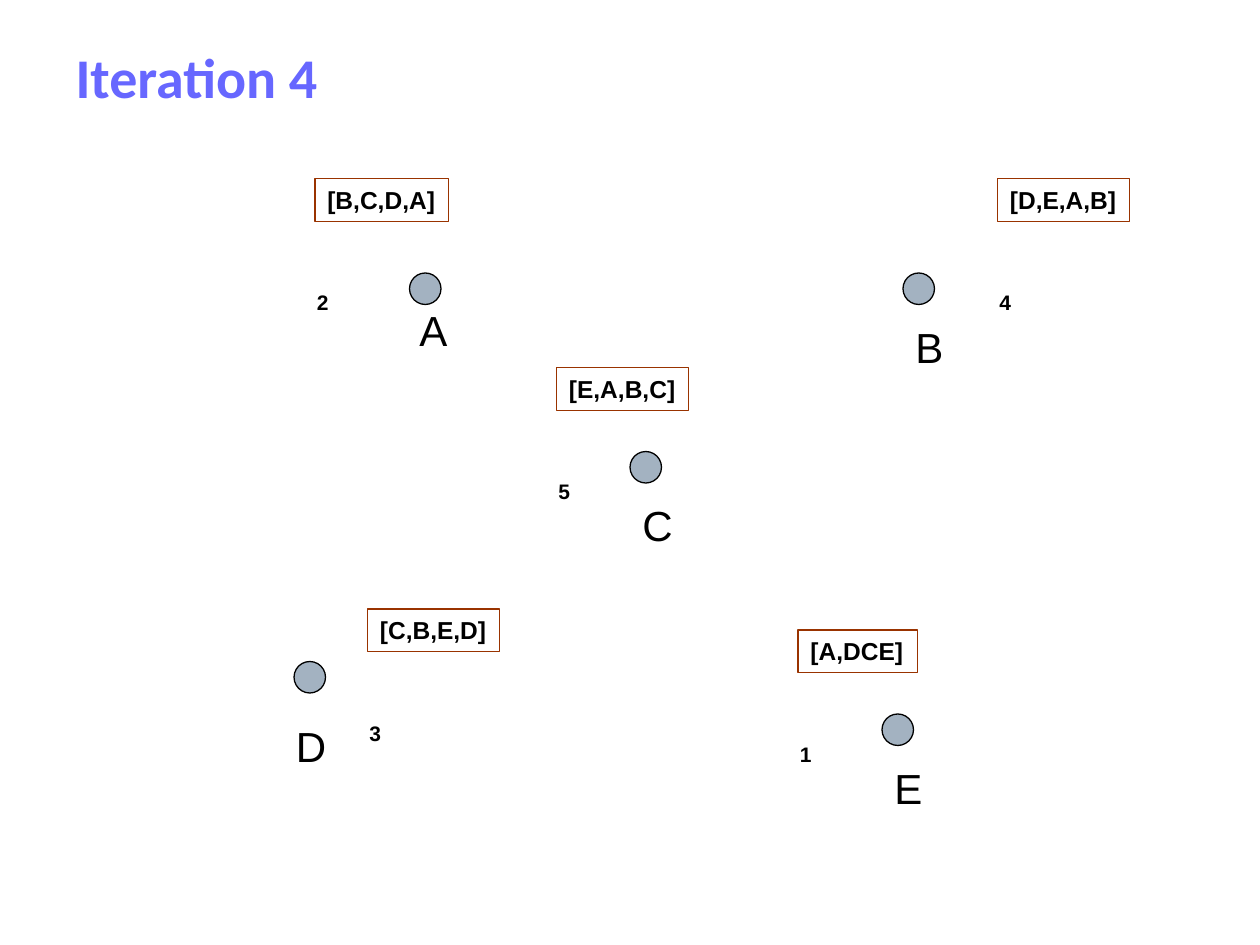
"""Build the "Iteration 4" slide: five nodes with their label, sequence and rank."""
import pptx
import pptx.util
import pptx.dml.color
import pptx.enum.shapes
import pptx.enum.text

Pt = pptx.util.Pt
RGB = pptx.dml.color.RGBColor.from_string
SHAPE = pptx.enum.shapes.MSO_SHAPE
COLORS = {"title": "6767FF", "node": "A3B2C1", "box": "993300", "text": "000000"}


def style_text(sp, text, size, bold):
    tf = sp.text_frame
    tf.text = text
    tf.word_wrap = False
    tf.auto_size = pptx.enum.text.MSO_AUTO_SIZE.SHAPE_TO_FIT_TEXT
    tf.vertical_anchor = pptx.enum.text.MSO_ANCHOR.TOP
    p = tf.paragraphs[0]
    p.alignment = pptx.enum.text.PP_ALIGN.LEFT
    font = p.runs[0].font
    font.name, font.size, font.bold = "Arial", Pt(size), bold
    font.color.rgb = RGB(COLORS["text"])


def add_outlined(s, kind, x, y, w, h, line):
    sp = s.shapes.add_shape(kind, Pt(x), Pt(y), Pt(w), Pt(h))
    sp.shadow.inherit = False
    sp.fill.background()
    sp.line.color.rgb = RGB(line)
    sp.line.width = Pt(0.75)
    return sp


prs = pptx.Presentation()
prs.slide_width, prs.slide_height = Pt(720), Pt(540)
s = prs.slides.add_slide(prs.slide_layouts[5])

title = s.shapes.title
title.left, title.top, title.width, title.height = Pt(36), Pt(21.6), Pt(648), Pt(44.6)
tf = title.text_frame
tf.text = "Iteration 4"
tf.vertical_anchor = pptx.enum.text.MSO_ANCHOR.BOTTOM
p = tf.paragraphs[0]
p.alignment = pptx.enum.text.PP_ALIGN.LEFT
font = p.runs[0].font
font.name, font.size, font.bold = "Calibri", Pt(32), True
font.color.rgb = RGB(COLORS["title"])

nodes = [
    ("A", (234, 156), (232.5, 170.5), "[B,C,D,A]", (180, 102), 76.3, "2"),
    ("B", (516, 156), (516, 180), "[D,E,A,B]", (570, 102), 75.6, "4"),
    ("C", (360, 258), (360, 282), "[E,A,B,C]", (318, 210), 75.6, "5"),
    ("D", (168, 378), (162, 408), "[C,B,E,D]", (210, 348), 75.6, "3"),
    ("E", (504, 408), (504, 432), "[A,DCE]", (456, 360), 68.4, "1"),
]
for name, node_at, label_at, sequence, box_at, box_width, rank in nodes:
    node = add_outlined(s, SHAPE.OVAL, *node_at, 18, 18, COLORS["text"])
    node.fill.solid()
    node.fill.fore_color.rgb = RGB(COLORS["node"])

    label = s.shapes.add_textbox(Pt(label_at[0]), Pt(label_at[1]), Pt(27), Pt(28.8))
    style_text(label, name, 24, False)

    box = add_outlined(s, SHAPE.RECTANGLE, *box_at, box_width, 24.5, COLORS["box"])
    style_text(box, sequence, 14, True)

    rank_box = s.shapes.add_textbox(Pt(box_at[0] - 6), Pt(box_at[1] + 60), Pt(20.9), Pt(21.6))
    style_text(rank_box, rank, 12, True)

prs.save("out.pptx")
